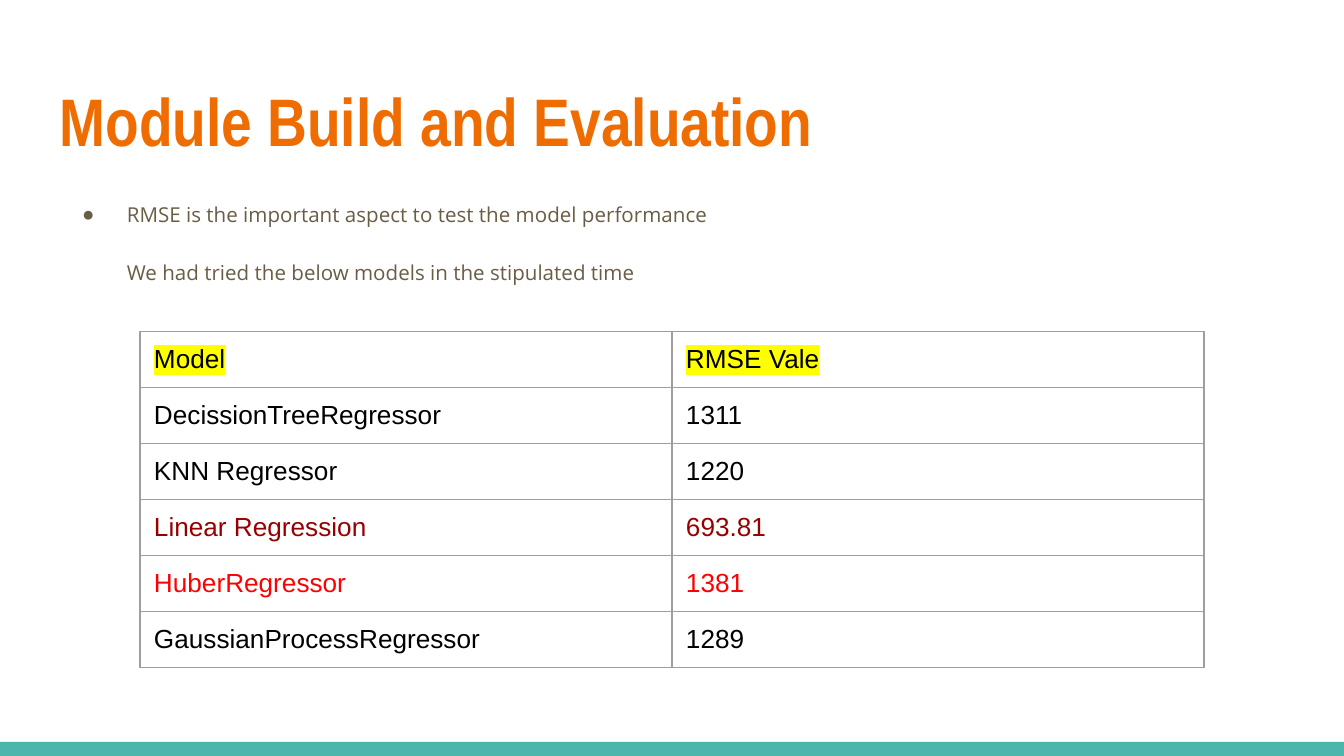
import dataclasses

import lxml.etree
import pptx
import pptx.dml.color
import pptx.enum.shapes
import pptx.enum.text
import pptx.oxml.ns
import pptx.util

PX = 9525
qn = pptx.oxml.ns.qn


@dataclasses.dataclass(frozen=True)
class Theme:
    accent: str = "EF6C00"
    muted: str = "695D46"
    band: str = "4DB6AC"
    grid: str = "9E9E9E"
    ink: str = "000000"
    best: str = "980000"
    worst: str = "FF0000"
    marker: str = "FFFF00"
    title_font: str = "Arial Narrow"
    body_font: str = "Open Sans"
    table_font: str = "Arial"
    title_size: int = 36
    body_size: int = 11
    table_size: int = 14


THEME = Theme()
RESULTS = [
    ("Model", "RMSE Vale", THEME.ink),
    ("DecissionTreeRegressor", "1311", THEME.ink),
    ("KNN Regressor", "1220", THEME.ink),
    ("Linear Regression", "693.81", THEME.best),
    ("HuberRegressor", "1381", THEME.worst),
    ("GaussianProcessRegressor", "1289", THEME.ink),
]


def rgb(color):
    return pptx.dml.color.RGBColor.from_string(color)


def px(*lengths):
    return [pptx.util.Emu(length * PX) for length in lengths]


def set_font(font, name, size, color, bold=False):
    font.name = name
    font.size = pptx.util.Pt(size)
    font.bold = bold
    font.color.rgb = rgb(color)


def place(placeholder, box):
    placeholder.left, placeholder.top, placeholder.width, placeholder.height = px(*box)
    frame = placeholder.text_frame
    frame.margin_left = frame.margin_right = pptx.util.Inches(0.1)
    frame.margin_top = frame.margin_bottom = pptx.util.Inches(0.1)
    frame.vertical_anchor = pptx.enum.text.MSO_ANCHOR.TOP
    frame.auto_size = pptx.enum.text.MSO_AUTO_SIZE.NONE
    frame.word_wrap = True
    return frame


def add_band(slide, box):
    band = slide.shapes.add_shape(pptx.enum.shapes.MSO_SHAPE.RECTANGLE, *px(*box))
    band.shadow.inherit = False
    band.fill.solid()
    band.fill.fore_color.rgb = rgb(THEME.band)
    band.line.fill.background()


def add_heading(slide, box):
    frame = place(slide.shapes.title, box)
    frame.text = "Module Build and Evaluation"
    heading = frame.paragraphs[0]
    heading.alignment = pptx.enum.text.PP_ALIGN.LEFT
    set_font(heading.font, THEME.title_font, THEME.title_size, THEME.accent, True)


def set_bullet(paragraph, indent, bullet):
    properties = paragraph._p.get_or_add_pPr()
    properties.set("marL", str(48 * PX))
    properties.set("indent", str(indent * PX))
    if bullet:
        mark = lxml.etree.Element(qn("a:buChar"), char=bullet)
    else:
        mark = lxml.etree.Element(qn("a:buNone"))
    properties.find(qn("a:defRPr")).addprevious(mark)


def add_points(slide, box):
    frame = place(slide.placeholders[1], box)
    points = [
        ("RMSE is the important aspect to test the model performance", 0, -32, "●"),
        ("We had tried the below models in the stipulated time", 16, 0, None),
    ]
    frame.text = "\n".join(point[0] for point in points)
    for point, (_, gap, indent, bullet) in zip(frame.paragraphs, points):
        point.line_spacing = 1.15
        point.space_before = pptx.util.Pt(gap)
        set_font(point.font, THEME.body_font, THEME.body_size, THEME.muted)
        set_bullet(point, indent, bullet)


def add_borders(cell):
    properties = cell._tc.get_or_add_tcPr()
    for position, side in enumerate(("lnL", "lnR", "lnT", "lnB")):
        border = lxml.etree.Element(qn(f"a:{side}"), w=str(pptx.util.Pt(0.75)))
        fill = lxml.etree.SubElement(border, qn("a:solidFill"))
        lxml.etree.SubElement(fill, qn("a:srgbClr"), val=THEME.grid)
        properties.insert(position, border)


def highlight(run):
    marker = lxml.etree.SubElement(run._r.get_or_add_rPr(), qn("a:highlight"))
    lxml.etree.SubElement(marker, qn("a:srgbClr"), val=THEME.marker)


def fill_cell(cell, value, color):
    cell.text = value
    cell.margin_left, cell.margin_right, cell.margin_top, cell.margin_bottom = px(10, 10, 9, 9)
    cell.vertical_anchor = pptx.enum.text.MSO_ANCHOR.MIDDLE
    cell.fill.background()
    add_borders(cell)
    entry = cell.text_frame.paragraphs[0]
    set_font(entry.font, THEME.table_font, THEME.table_size, color)
    return entry


def add_results(slide, box):
    results = slide.shapes.add_table(len(RESULTS), 2, *px(*box)).table
    results.first_row = False
    results.horz_banding = False
    for row, (model, rmse, color) in enumerate(RESULTS):
        for column, value in enumerate((model, rmse)):
            entry = fill_cell(results.cell(row, column), value, color)
            if row == 0:
                highlight(entry.runs[0])


def main():
    deck = pptx.Presentation()
    deck.slide_width, deck.slide_height = px(960, 540)
    slide = deck.slides.add_slide(deck.slide_layouts[1])
    add_band(slide, (0, 530, 960, 10))
    add_heading(slide, (33, 47, 895, 74))
    add_points(slide, (33, 132, 895, 347))
    add_results(slide, (100, 237, 760, 240))
    deck.save("out.pptx")


if __name__ == "__main__":
    main()
